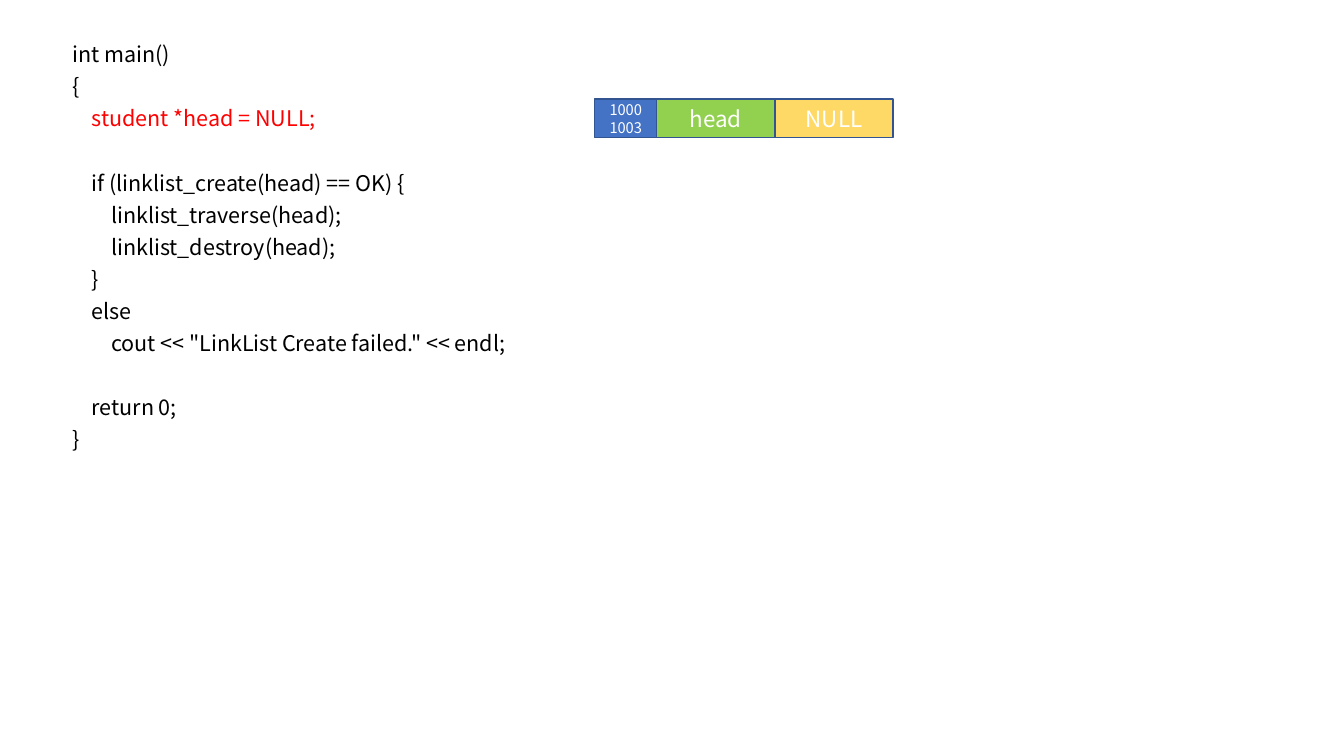
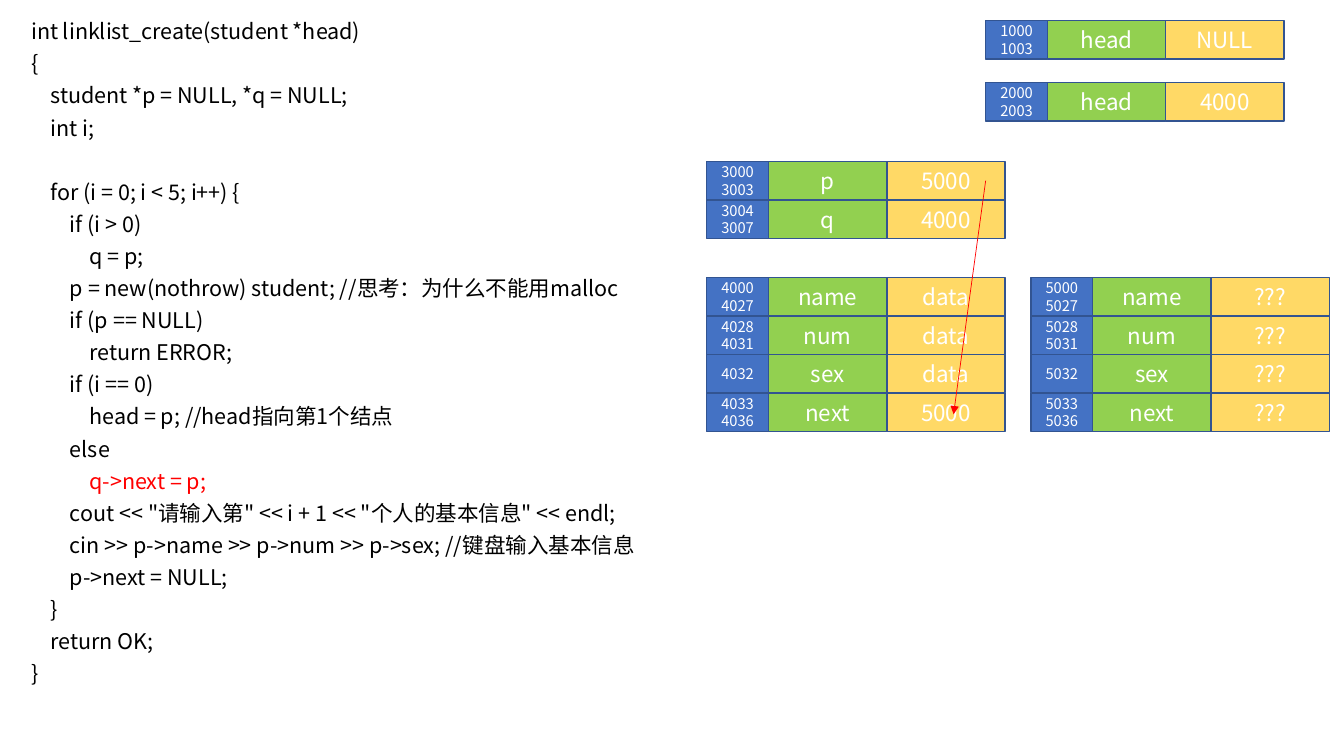
from pptx import Presentation
from pptx.dml.color import RGBColor
from pptx.enum.shapes import MSO_CONNECTOR as Connector, MSO_SHAPE as Shape
from pptx.enum.text import MSO_ANCHOR as Anchor, MSO_AUTO_SIZE as AutoSize, PP_ALIGN as Align
from pptx.oxml.ns import qn
from pptx.util import Cm, Pt
from lxml.etree import SubElement

COLOURS = {
    "address": "4472C4",
    "name": "92D050",
    "value": "FFD966",
    "border": "325491",
    "code": "000000",
    "highlight": "FF0000",
    "cell_text": "FFFFFF",
}
FONT = "Noto Sans CJK SC"
CODE_SIZE = 15.4
INDENT = 0.49
LINE_GAP = 10
BLANK_LINE = 22.9
ROW_HEIGHT = 0.97
COLUMNS = (("address", 1.56, 10.5), ("name", 2.98, 16), ("value", 2.98, 16))

MAIN_CODE = """int main()
{
    student *head = NULL;

    if (linklist_create(head) == OK) {
        linklist_traverse(head);
        linklist_destroy(head);
    }
    else
        cout << "LinkList Create failed." << endl;

    return 0;
}"""

CREATE_CODE = """int linklist_create(student *head)
{
    student *p = NULL, *q = NULL;
    int i;

    for (i = 0; i < 5; i++) {
        if (i > 0)
            q = p;
        p = new(nothrow) student; //思考：为什么不能用malloc
        if (p == NULL)
            return ERROR;
        if (i == 0)
            head = p; //head指向第1个结点
        else
            q->next = p;
        cout << "请输入第" << i + 1 << "个人的基本信息" << endl;
        cin >> p->name >> p->num >> p->sex; //键盘输入基本信息
        p->next = NULL;
    }
    return OK;
}"""

HEAD_ARGUMENT = [("1000\n1003", "head", "NULL")]
HEAD_PARAMETER = [("2000\n2003", "head", "4000")]
POINTERS = [("3000\n3003", "p", "5000"), ("3004\n3007", "q", "4000")]
FIRST_NODE = [
    ("4000\n4027", "name", "data"),
    ("4028\n4031", "num", "data"),
    ("4032", "sex", "data"),
    ("4033\n4036", "next", "5000"),
]
SECOND_NODE = [
    ("5000\n5027", "name", "???"),
    ("5028\n5031", "num", "???"),
    ("5032", "sex", "???"),
    ("5033\n5036", "next", "???"),
]


def colour(name):
    """Return the named colour of the palette."""
    return RGBColor.from_string(COLOURS[name])


def style_paragraph(paragraph, size, colour_name):
    """Set the font for Latin and Chinese text."""
    font = paragraph.font
    font.name = FONT
    font.size = Pt(size)
    font.color.rgb = colour(colour_name)
    defaults = paragraph._p.get_or_add_pPr().find(qn("a:defRPr"))
    SubElement(defaults, qn("a:ea")).set("typeface", FONT)


def indent_paragraph(paragraph, level):
    """Indent a code line by its nesting level and remove its bullet."""
    properties = paragraph._p.get_or_add_pPr()
    properties.set("marL", str(Cm(INDENT * level)))
    properties.set("indent", "0")
    bullet = SubElement(properties, qn("a:buNone"))
    properties.find(qn("a:defRPr")).addprevious(bullet)


def add_code_slide(presentation, code, highlight, left, top, width, height):
    """Add a slide with a code listing in its body placeholder."""
    slide = presentation.slides.add_slide(presentation.slide_layouts[1])
    title = slide.shapes.title
    title._element.getparent().remove(title._element)
    body = slide.placeholders[1]
    body.left, body.top, body.width, body.height = map(Cm, (left, top, width, height))
    frame = body.text_frame
    frame.word_wrap = True
    frame.auto_size = AutoSize.NONE
    frame.vertical_anchor = Anchor.TOP
    frame.margin_right = 0
    paragraph = frame.paragraphs[0]
    gap = 0
    for number, line in enumerate(code.splitlines()):
        statement = line.strip()
        if not statement:
            gap = BLANK_LINE
            continue
        if number:
            paragraph = frame.add_paragraph()
        paragraph.text = statement
        paragraph.line_spacing = 0.7
        paragraph.space_before = Pt(LINE_GAP + gap)
        colour_name = "highlight" if statement == highlight else "code"
        style_paragraph(paragraph, CODE_SIZE, colour_name)
        indent_paragraph(paragraph, (len(line) - len(statement)) // 4)
        gap = 0
    return slide


def add_cell(shapes, text, left, top, column):
    """Add one memory cell in the style of its column."""
    kind, width, size = column
    cell = shapes.add_shape(Shape.RECTANGLE, Cm(left), Cm(top), Cm(width), Cm(ROW_HEIGHT))
    cell.shadow.inherit = False
    cell.fill.solid()
    cell.fill.fore_color.rgb = colour(kind)
    cell.line.color.rgb = colour("border")
    cell.line.width = Pt(1)
    frame = cell.text_frame
    frame.word_wrap = True
    frame.vertical_anchor = Anchor.MIDDLE
    frame.margin_top = frame.margin_bottom = 0
    frame.text = text
    for paragraph in frame.paragraphs:
        paragraph.alignment = Align.CENTER
        style_paragraph(paragraph, size, "cell_text")


def add_memory_block(slide, rows, left, top):
    """Add a group of address, name and value cells, one row per variable."""
    shapes = slide.shapes.add_group_shape().shapes
    for index, row in enumerate(rows):
        cell_left = left
        for text, column in zip(row, COLUMNS):
            add_cell(shapes, text, cell_left, top + index * ROW_HEIGHT, column)
            cell_left += column[1]


def add_arrow(slide, start, end):
    """Add a thin highlighted arrow between two points."""
    arrow = slide.shapes.add_connector(Connector.STRAIGHT, *map(Cm, start + end))
    arrow.line.color.rgb = colour("highlight")
    arrow.line.width = Pt(0.5)
    SubElement(arrow.line._get_or_add_ln(), qn("a:tailEnd")).set("type", "triangle")
    SubElement(arrow._element.spPr, qn("a:effectLst"))


def main():
    """Build and save the two slides."""
    presentation = Presentation()
    presentation.slide_width = Cm(33.87)
    presentation.slide_height = Cm(19.05)

    slide = add_code_slide(
        presentation, MAIN_CODE, "student *head = NULL;", 1.57, 1.09, 11.51, 11.15
    )
    add_memory_block(slide, HEAD_ARGUMENT, 14.99, 2.5)

    slide = add_code_slide(
        presentation, CREATE_CODE, "q->next = p;", 0.53, 0.51, 16.18, 17.68
    )
    add_memory_block(slide, HEAD_ARGUMENT, 24.84, 0.52)
    add_memory_block(slide, HEAD_PARAMETER, 24.84, 2.08)
    add_memory_block(slide, POINTERS, 17.81, 4.07)
    add_memory_block(slide, FIRST_NODE, 17.81, 6.99)
    add_memory_block(slide, SECOND_NODE, 25.98, 6.99)
    add_arrow(slide, (24.84, 4.55), (24.03, 10.44))

    presentation.save("out.pptx")


main()
